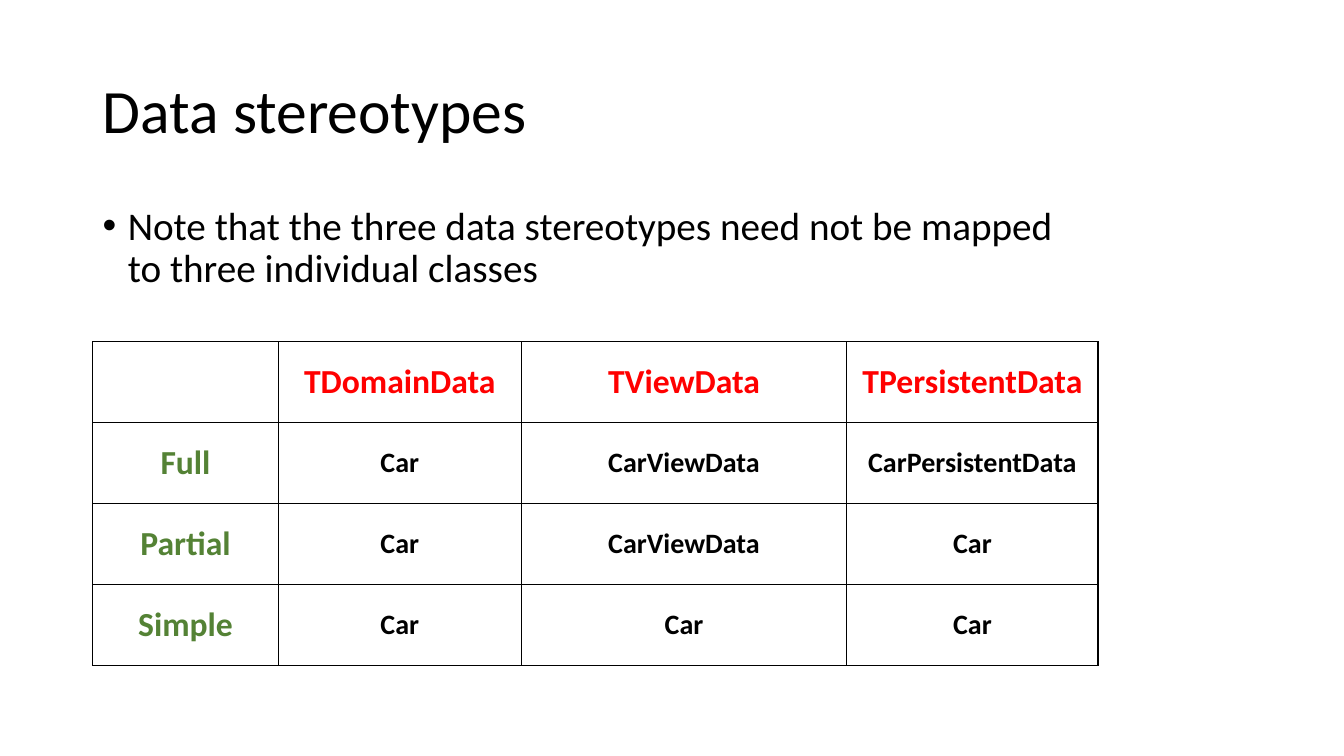
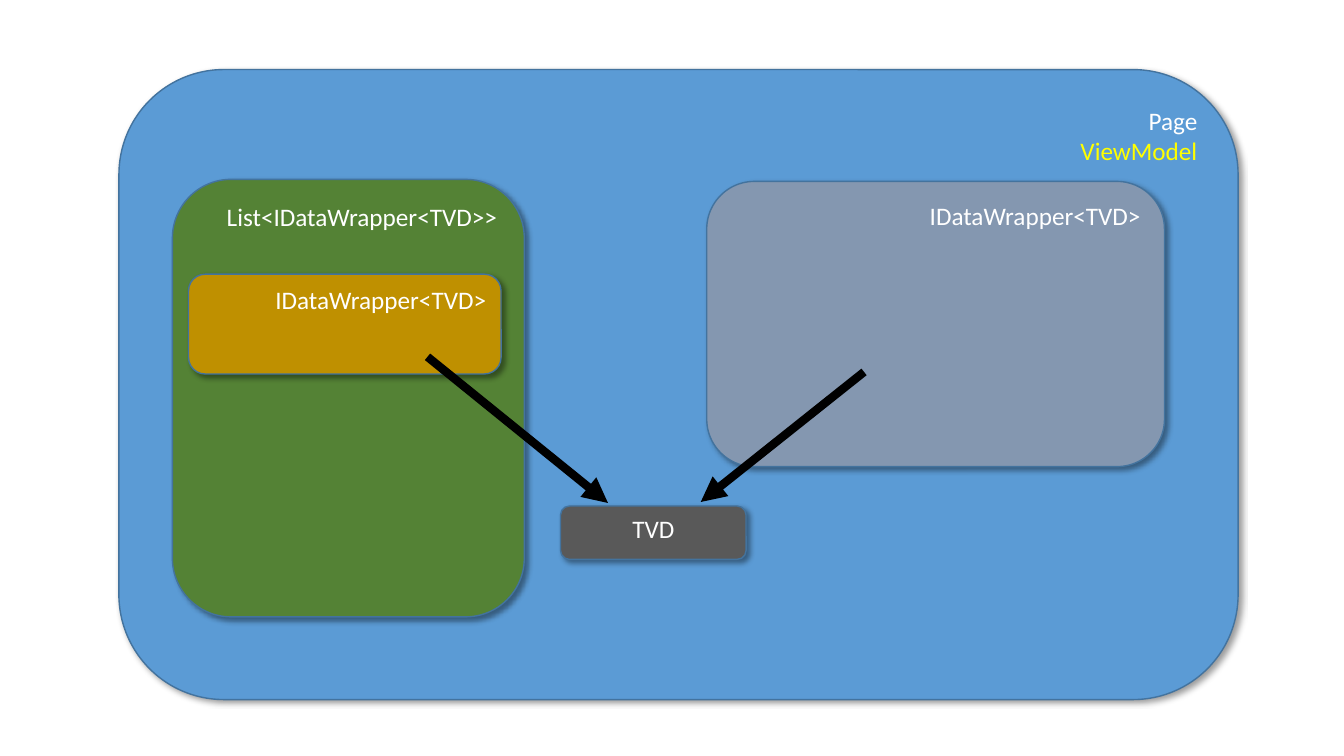
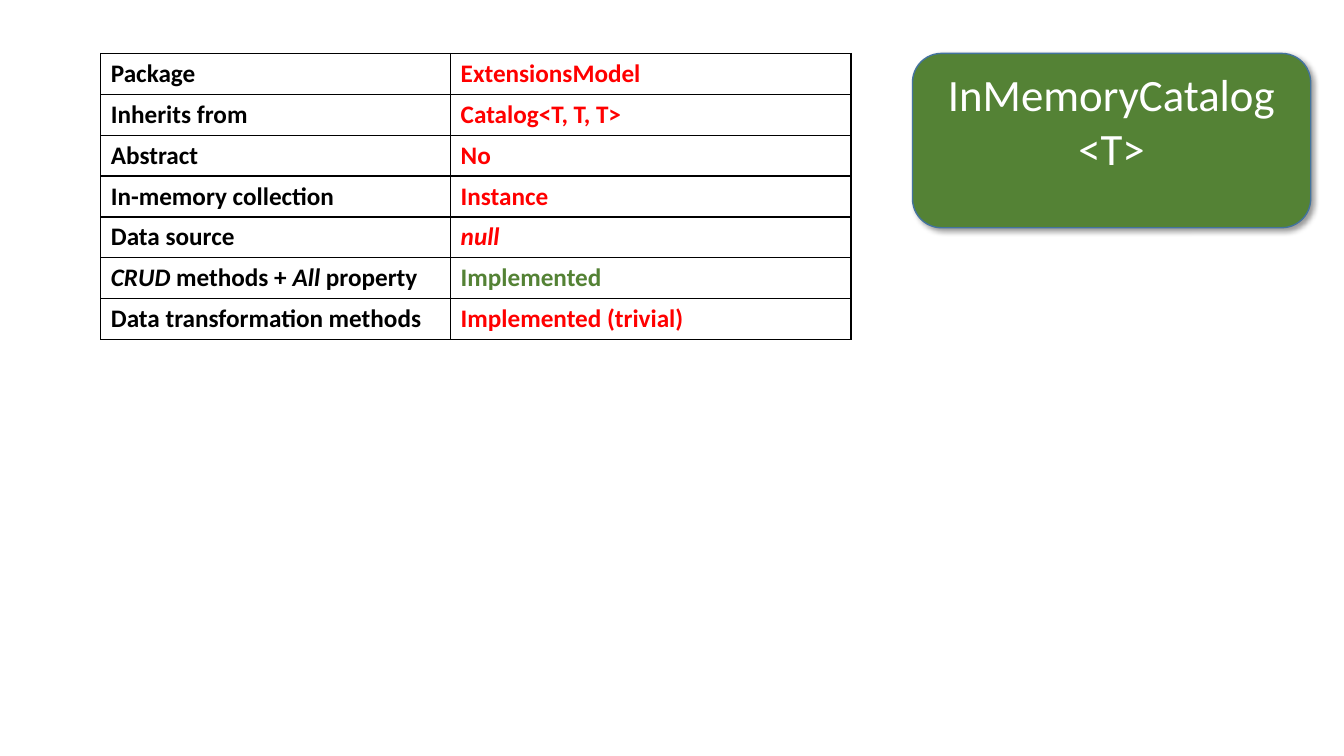
from lxml import etree
from pptx import Presentation
from pptx.dml.color import RGBColor
from pptx.enum.shapes import MSO_CONNECTOR, MSO_SHAPE
from pptx.enum.text import MSO_ANCHOR, PP_ALIGN
from pptx.oxml.ns import qn
from pptx.util import Inches, Pt

LEFT, CENTER, RIGHT = PP_ALIGN.LEFT, PP_ALIGN.CENTER, PP_ALIGN.RIGHT
TOP, MIDDLE = MSO_ANCHOR.TOP, MSO_ANCHOR.MIDDLE
ROUNDED = MSO_SHAPE.ROUNDED_RECTANGLE
STRAIGHT = MSO_CONNECTOR.STRAIGHT

FONT = "Calibri"
BLACK = RGBColor(0x00, 0x00, 0x00)
WHITE = RGBColor(0xFF, 0xFF, 0xFF)
RED = RGBColor(0xFF, 0x00, 0x00)
YELLOW = RGBColor(0xFF, 0xFF, 0x00)
GREEN = RGBColor(0x54, 0x82, 0x35)
BLUE = RGBColor(0x5B, 0x9B, 0xD5)
OUTLINE = RGBColor(0x43, 0x73, 0x9E)
GOLD = RGBColor(0xBF, 0x90, 0x00)
STEEL = RGBColor(0x84, 0x97, 0xB0)
GRAY = RGBColor(0x59, 0x59, 0x59)


def add_box(slide, bounds, fill, lines, alignment=RIGHT, size=18):
    """Rounded box with a soft shadow; lines holds (text, colour) pairs."""
    shape = slide.shapes.add_shape(ROUNDED, *[Inches(value) for value in bounds])
    shape.fill.solid()
    shape.fill.fore_color.rgb = fill
    shape.line.color.rgb = OUTLINE
    shape.line.width = Pt(1)
    shape.shadow.inherit = False
    effects = shape._element.spPr.find(qn("a:effectLst"))
    shadow = etree.SubElement(effects, qn("a:outerShdw"), blurRad=str(Pt(4)),
                              dist=str(Pt(3)), dir="2700000", algn="tl", rotWithShape="0")
    color = etree.SubElement(shadow, qn("a:srgbClr"), val=str(BLACK))
    etree.SubElement(color, qn("a:alpha"), val="40000")
    frame = shape.text_frame
    frame.word_wrap = True
    frame.vertical_anchor = TOP
    for index, (text, text_color) in enumerate(lines):
        paragraph = frame.add_paragraph() if index else frame.paragraphs[0]
        paragraph.alignment = alignment
        run = paragraph.add_run()
        run.text = text
        run.font.name = FONT
        run.font.size = Pt(size)
        run.font.color.rgb = text_color


def add_grid(slide, left, top, widths, height, rows, alignment, anchor):
    """Bordered table; each cell is (runs, size, colour), each run (text, italic)."""
    table = slide.shapes.add_table(len(rows), len(widths), Inches(left), Inches(top),
                                   Inches(sum(widths)), Inches(height)).table
    table.first_row = table.horz_banding = False
    for column, width in zip(table.columns, widths):
        column.width = Inches(width)
    for row_index, row in enumerate(rows):
        for column_index, (runs, size, color) in enumerate(row):
            cell = table.cell(row_index, column_index)
            cell.vertical_anchor = anchor
            properties = cell._tc.get_or_add_tcPr()
            for side in ("a:lnL", "a:lnR", "a:lnT", "a:lnB"):
                border = etree.SubElement(properties, qn(side), w=str(Pt(1)))
                solid = etree.SubElement(border, qn("a:solidFill"))
                etree.SubElement(solid, qn("a:srgbClr"), val=str(BLACK))
            cell.fill.background()
            paragraph = cell.text_frame.paragraphs[0]
            paragraph.alignment = alignment
            for text, italic in runs:
                run = paragraph.add_run()
                run.text = text
                run.font.name = FONT
                run.font.size = Pt(size)
                run.font.bold = True
                run.font.italic = italic
                run.font.color.rgb = color


presentation = Presentation()
presentation.slide_width = Inches(13.33)
presentation.slide_height = Inches(7.5)
title_only, blank = presentation.slide_layouts[5], presentation.slide_layouts[6]

# Slide 1: title
slide = presentation.slides.add_slide(title_only)
title = slide.shapes.title
title.left, title.top = Inches(0.92), Inches(0.4)
title.width, title.height = Inches(11.5), Inches(1.45)
note = slide.shapes.add_textbox(Inches(0.92), Inches(2), Inches(9.97), Inches(1.25))

# Bullet of the note
note_properties = note.text_frame.paragraphs[0]._p.get_or_add_pPr()
note_properties.set("marL", str(Inches(0.25)))
note_properties.set("indent", str(Inches(-0.25)))
etree.SubElement(note_properties, qn("a:buFont"), typeface="Arial")
etree.SubElement(note_properties, qn("a:buChar"), char="•")

# Text of the title and the note
for shape, anchor, size, text in (
    (title, MIDDLE, 44, "Data stereotypes"),
    (note, TOP, 28, "Note that the three data stereotypes need not be mapped "
                    "to three individual classes"),
):
    shape.text_frame.word_wrap = True
    shape.text_frame.vertical_anchor = anchor
    paragraph = shape.text_frame.paragraphs[0]
    paragraph.alignment = LEFT
    paragraph.line_spacing = 0.9
    run = paragraph.add_run()
    run.text = text
    run.font.name = FONT
    run.font.size = Pt(size)
    run.font.color.rgb = BLACK

# Stereotype table
stereotypes = [
    ("", "TDomainData", "TViewData", "TPersistentData"),
    ("Full", "Car", "CarViewData", "CarPersistentData"),
    ("Partial", "Car", "CarViewData", "Car"),
    ("Simple", "Car", "Car", "Car"),
]
stereotype_rows = []
for row_index, texts in enumerate(stereotypes):
    row = []
    for column_index, text in enumerate(texts):
        if row_index == 0:
            size, color = 24, RED
        elif column_index == 0:
            size, color = 24, GREEN
        else:
            size, color = 20, BLACK
        row.append(([(text, False)] if text else [], size, color))
    stereotype_rows.append(row)
add_grid(slide, 0.92, 3.39, (1.84, 2.41, 3.23, 2.49), 3.21, stereotype_rows, CENTER, MIDDLE)

# Slide 2: nested boxes
slide = presentation.slides.add_slide(blank)
add_box(slide, (1.18, 0.69, 11.1, 6.25), BLUE, [("Page", WHITE), ("ViewModel", YELLOW)])
add_box(slide, (1.71, 1.78, 3.49, 4.34), GREEN, [("List<IDataWrapper<TVD>>", WHITE)])
add_box(slide, (1.87, 2.72, 3.1, 0.99), GOLD, [("IDataWrapper<TVD>", WHITE)])
add_box(slide, (7.01, 1.8, 4.54, 2.83), STEEL, [("IDataWrapper<TVD>", WHITE)])
add_box(slide, (5.56, 5.02, 1.84, 0.53), GRAY, [("TVD", WHITE)], CENTER)

# Arrows from the wrappers to the shared data
for ends in ((4.24, 3.54, 6.03, 4.99), (8.57, 3.69, 6.95, 4.98)):
    arrow = slide.shapes.add_connector(STRAIGHT, *[Inches(value) for value in ends])
    arrow.line.color.rgb = BLACK
    arrow.line.width = Pt(6)
    etree.SubElement(arrow.line._get_or_add_ln(), qn("a:tailEnd"), type="triangle")
    etree.SubElement(arrow._element.spPr, qn("a:effectLst"))

# Slide 3: class box
slide = presentation.slides.add_slide(blank)
add_box(slide, (9.05, 0.53, 3.95, 1.73), GREEN,
        [("InMemoryCatalog", WHITE), ("<T>", WHITE)], CENTER, 32)

# Class properties
class_properties = [
    ([("Package", False)], [("ExtensionsModel", False)], RED),
    ([("Inherits from", False)], [("Catalog<T, T, T>", False)], RED),
    ([("Abstract", False)], [("No", False)], RED),
    ([("In-memory collection", False)], [("Instance", False)], RED),
    ([("Data source", False)], [("null", True)], RED),
    ([("CRUD", True), (" methods + ", False), ("All", True), (" property", False)],
     [("Implemented", False)], GREEN),
    ([("Data transformation methods", False)], [("Implemented (trivial)", False)], RED),
]
property_rows = [[(label, 18, BLACK), (value, 18, color)]
                 for label, value, color in class_properties]
add_grid(slide, 1, 0.53, (3.47, 3.97), 2.84, property_rows, LEFT, TOP)

presentation.save("out.pptx")
